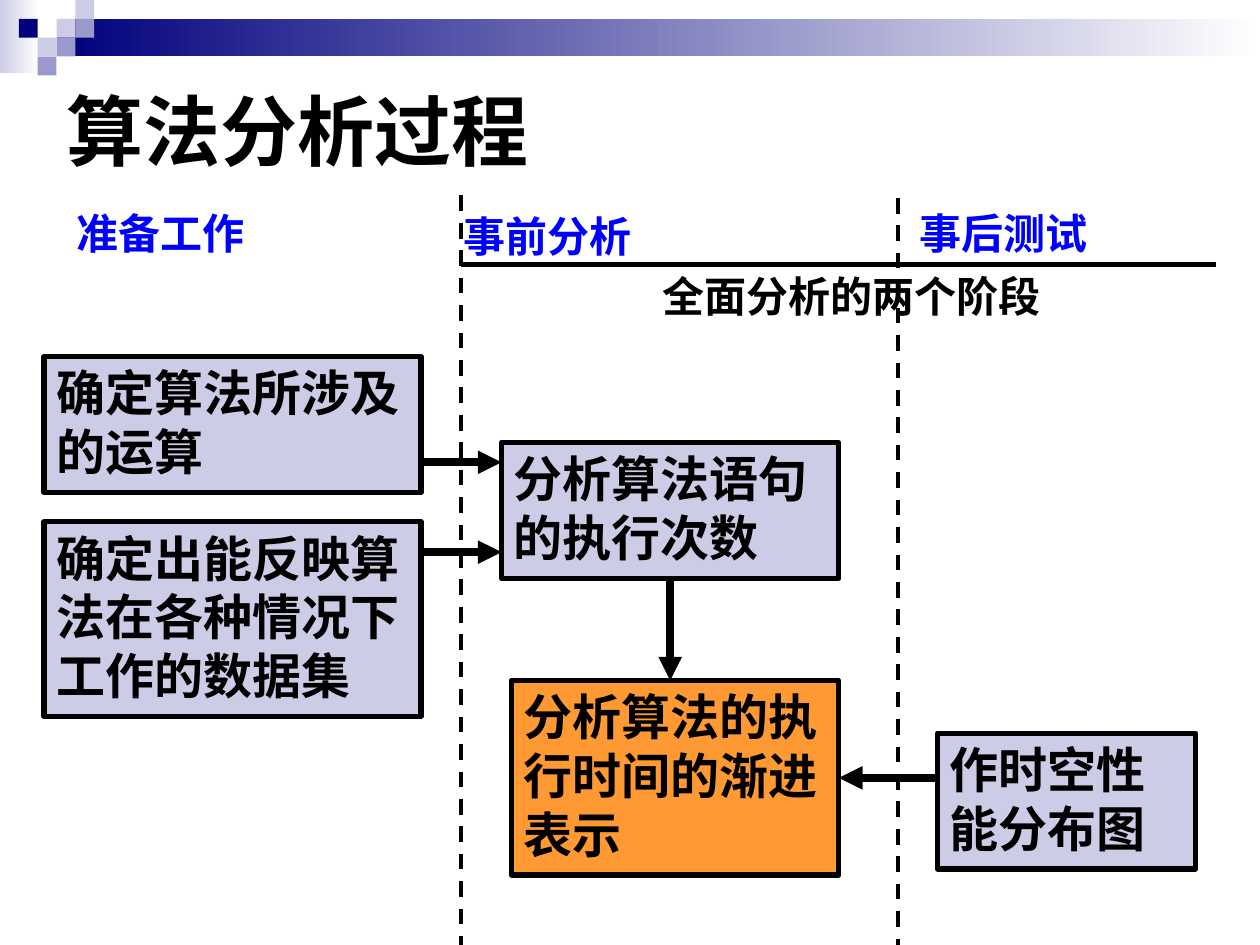
"""Build the slide on the stages of algorithm analysis."""
from lxml import etree
from pptx import Presentation
from pptx import util as u
from pptx.dml.color import RGBColor
from pptx.enum import dml, shapes, text
from pptx.oxml.ns import qn

BLACK = RGBColor(0x00, 0x00, 0x00)
WHITE = RGBColor(0xFF, 0xFF, 0xFF)
NAVY = RGBColor(0x00, 0x00, 0x7D)
LAVENDER = RGBColor(0xCC, 0xCC, 0xE6)
PERIWINKLE = RGBColor(0x99, 0x99, 0xCC)
ORANGE = RGBColor(0xFF, 0x99, 0x33)
BLUE = RGBColor(0x00, 0x00, 0xFF)
TOP, LEFT, BOTTOM, RIGHT = range(4)
TILE = 0.38


def write(frame, words, size=28, color=BLACK, wrap=True, anchor=text.MSO_ANCHOR.TOP):
    """Fill a text frame with one bold, left-aligned paragraph."""
    frame.word_wrap = wrap
    frame.vertical_anchor = anchor
    paragraph = frame.paragraphs[0]
    paragraph.alignment = text.PP_ALIGN.LEFT
    run = paragraph.add_run()
    run.text = words
    run.font.name = "Arial"
    run.font.size = u.Pt(size)
    run.font.bold = True
    run.font.color.rgb = color


def cm(*lengths):
    """Turn plain numbers into lengths."""
    return [u.Cm(length) for length in lengths]


class Board:
    """Hold the current slide and its drawing style."""

    def __init__(self, slide):
        """Keep the slide to draw on."""
        self.slide = slide

    def title(self, words, *place):
        """Place and write the title."""
        holder = self.slide.shapes.title
        holder.left, holder.top, holder.width, holder.height = cm(*place)
        write(holder.text_frame, words, size=44, anchor=text.MSO_ANCHOR.MIDDLE)

    def rectangle(self, *place, fill=LAVENDER, fade=False):
        """Draw a borderless rectangle, optionally fading to white."""
        shape = self.slide.shapes.add_shape(shapes.MSO_SHAPE.RECTANGLE, *cm(*place))
        shape.shadow.inherit = False
        shape.line.fill.background()
        if fade:
            shape.fill.gradient()
            shape.fill.gradient_angle = 0
            for stop, color in zip(shape.fill.gradient_stops, (fill, WHITE)):
                stop.color.rgb = color
        else:
            shape.fill.solid()
            shape.fill.fore_color.rgb = fill
        return shape

    def step(self, words, *place, fill=LAVENDER):
        """Draw a bordered process step."""
        shape = self.rectangle(*place, fill=fill)
        shape.line.color.rgb = BLACK
        shape.line.width = u.Pt(3)
        write(shape.text_frame, words)
        return shape

    def label(self, words, *place, **style):
        """Add a free-standing text label."""
        box = self.slide.shapes.add_textbox(*cm(*place))
        write(box.text_frame, words, size=24, **style)

    def line(self, *ends, width=3, dashed=False, arrow=False):
        """Draw a straight line from one point to another."""
        line = self.slide.shapes.add_connector(shapes.MSO_CONNECTOR.STRAIGHT, *cm(*ends))
        line.line.color.rgb = BLACK
        line.line.width = u.Pt(width)
        if dashed:
            line.line.dash_style = dml.MSO_LINE.DASH
        if arrow:
            etree.SubElement(line.line._get_or_add_ln(), qn("a:tailEnd"), type="triangle")
        etree.SubElement(line._element.spPr, qn("a:effectLst"))
        return line

    def arrow(self, *ends):
        """Draw a heavy arrow."""
        return self.line(*ends, width=4.5, arrow=True)


def main():
    """Compose and save the slide."""
    deck = Presentation()
    deck.slide_width, deck.slide_height = cm(25.4, 19.05)
    board = Board(deck.slides.add_slide(deck.slide_layouts[5]))

    board.rectangle(0, 0, 0.79, 1.47, fade=True)
    board.rectangle(1.14, TILE, 24.26, 0.76, fill=NAVY, fade=True)
    tiles = [(3, 1, LAVENDER), (4, 0, LAVENDER), (4, 1, PERIWINKLE), (2, 2, LAVENDER),
             (1, 1, NAVY), (3, 2, PERIWINKLE), (2, 3, PERIWINKLE)]
    for column, row, color in tiles:
        board.rectangle(column * TILE, row * TILE, TILE, TILE, fill=color)

    board.title("算法分析过程", 1.09, 0.71, 22.86, 3.81)

    board.step("确定算法所涉及的运算", 0.89, 7.19, 7.6, 2.74)
    board.step("确定出能反映算法在各种情况下工作的数据集", 0.89, 10.52, 7.6, 3.92)
    counting = board.step("分析算法语句的执行次数", 10.11, 8.92, 6.8, 2.74)
    asymptotic = board.step("分析算法的执行时间的渐进表示", 10.31, 13.72, 6.6, 3.92, fill=ORANGE)
    board.step("作时空性能分布图", 18.9, 14.78, 5.2, 2.74)

    for height in (9.32, 11.13):
        board.arrow(8.5, height, 10.11, height)
    board.arrow(13.51, 11.66, 13.51, 13.72).begin_connect(counting, BOTTOM)
    board.arrow(18.9, 15.68, 16.91, 15.68).end_connect(asymptotic, RIGHT)

    for divider, top in ((9.3, 3.94), (18.11, 3.99)):
        board.line(divider, top, divider, 19.05, width=2.25, dashed=True)
    board.line(9.3, 5.33, 24.51, 5.33)

    stages = [("准备工作", 1.3, 4.06), ("事前分析", 9.09, 4.11), ("事后测试", 18.29, 4.06)]
    for stage, left, top in stages:
        board.label(stage, left, top, 3.89, 1.27, color=BLUE, wrap=False)
    board.label("全面分析的两个阶段", 13.11, 5.33, 9.19, 1.27)

    deck.save("out.pptx")


if __name__ == "__main__":
    main()
